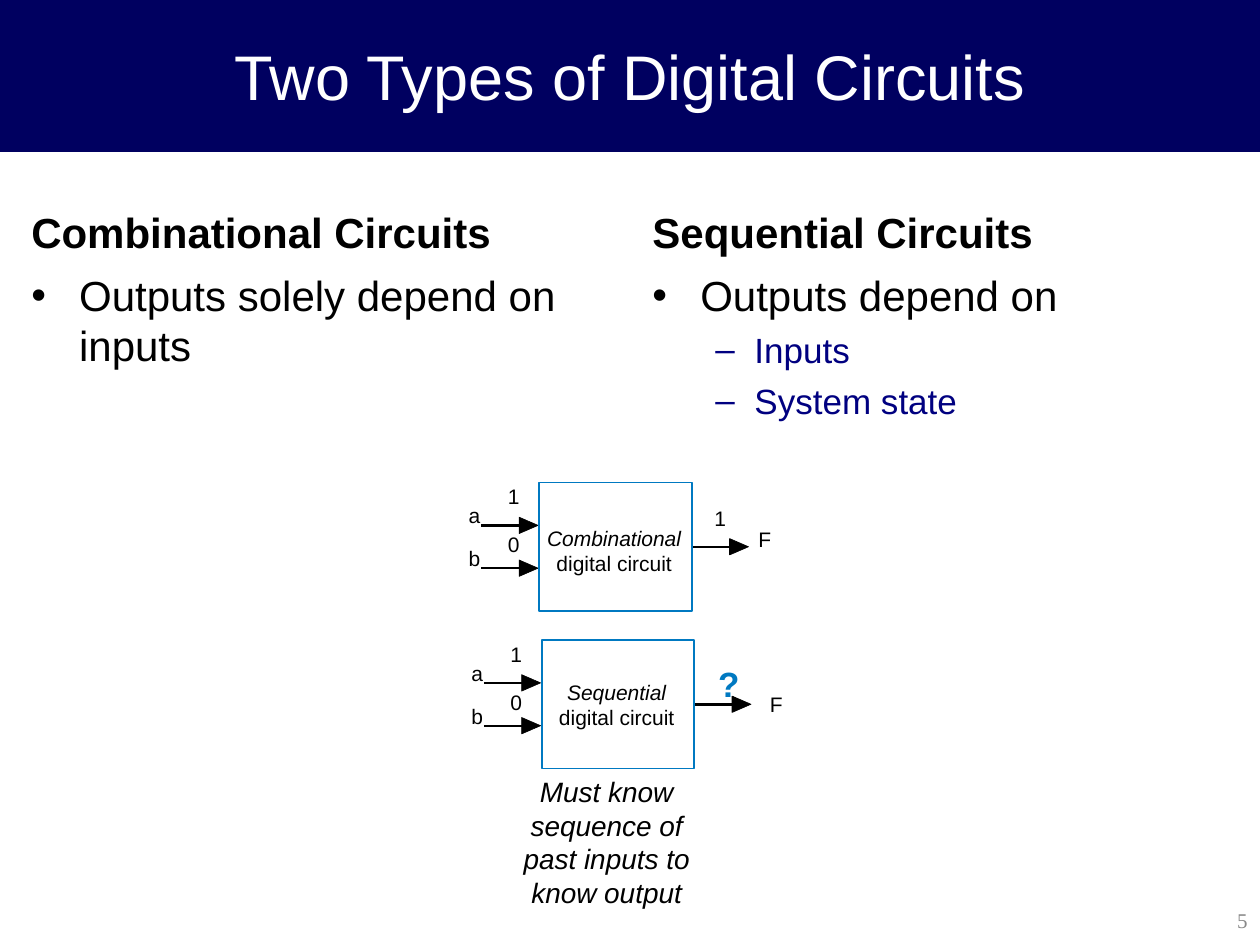
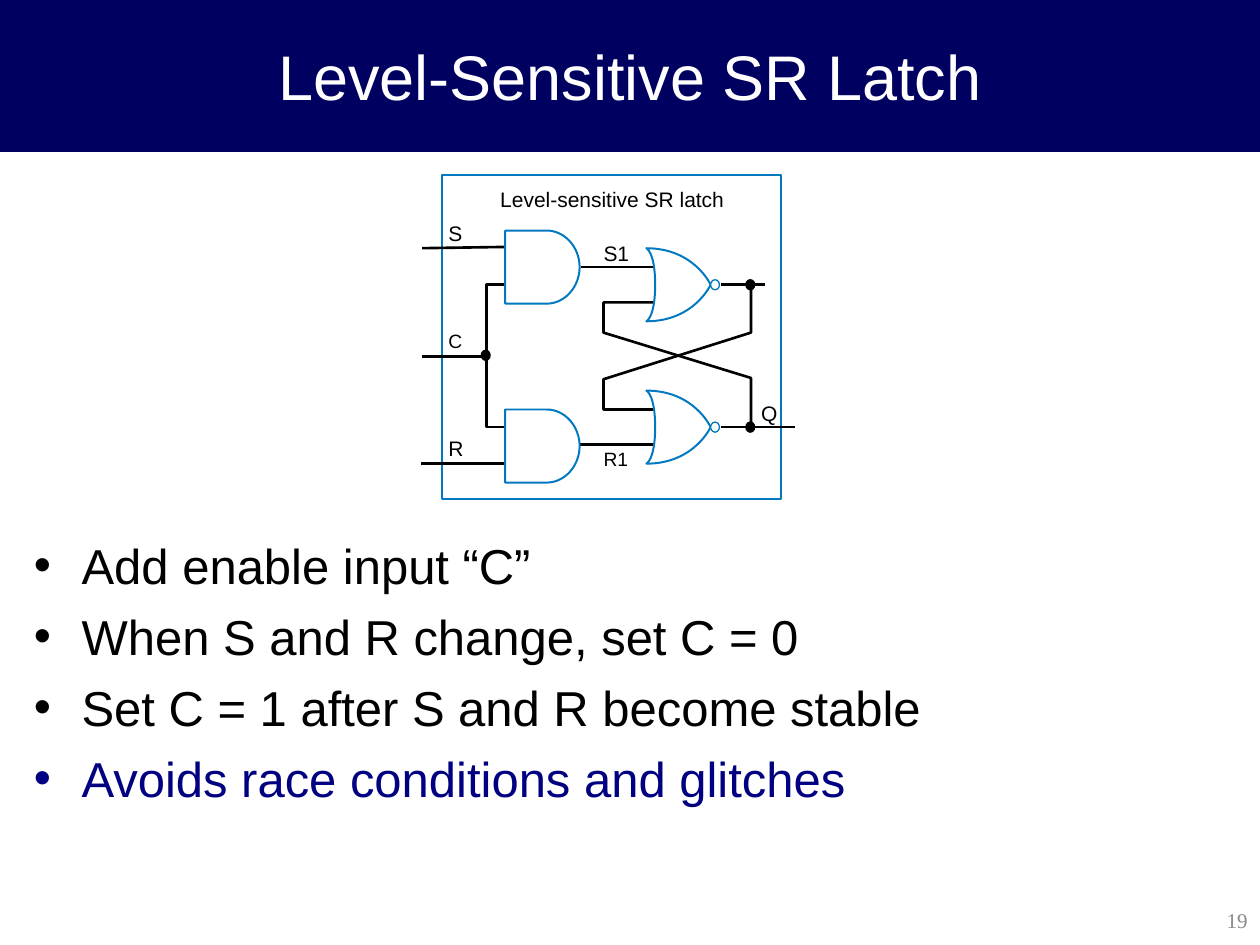
from dataclasses import dataclass

from lxml import etree
from pptx import Presentation
from pptx.dml.color import RGBColor
from pptx.enum.shapes import MSO_CONNECTOR, MSO_SHAPE
from pptx.enum.text import MSO_ANCHOR, MSO_AUTO_SIZE, PP_ALIGN
from pptx.oxml.ns import qn
from pptx.util import Inches, Pt

NAVY = RGBColor(0x00, 0x00, 0x60)
INDIGO = RGBColor(0x00, 0x00, 0x80)
BLUE = RGBColor(0x00, 0x79, 0xC1)
BLACK = RGBColor(0x00, 0x00, 0x00)
WHITE = RGBColor(0xFF, 0xFF, 0xFF)
GRAY = RGBColor(0x89, 0x89, 0x89)

LEFT, CENTER, RIGHT = PP_ALIGN.LEFT, PP_ALIGN.CENTER, PP_ALIGN.RIGHT
TOP, MIDDLE, BOTTOM = MSO_ANCHOR.TOP, MSO_ANCHOR.MIDDLE, MSO_ANCHOR.BOTTOM
RECT, OVAL = MSO_SHAPE.RECTANGLE, MSO_SHAPE.OVAL
STRAIGHT = MSO_CONNECTOR.STRAIGHT
NO_FIT = MSO_AUTO_SIZE.NONE
TITLE_ONLY = 5

Point = tuple[float, float]


@dataclass
class Box:
    left: float
    top: float
    width: float
    height: float

    def place(self) -> list[int]:
        return [Inches(v) for v in (self.left, self.top, self.width, self.height)]


@dataclass
class Line:
    text: str
    size: int = 12
    color: RGBColor = BLACK
    bold: bool = False
    italic: bool = False
    align: PP_ALIGN = LEFT
    face: str = "Arial"
    gap: int = 0
    mark: str = ""
    indent: float = 0.38
    hang: float = 0.38
    level: int = 0


@dataclass
class Label:
    text: str
    left: float
    top: float
    size: int = 12


@dataclass
class Block:
    name: str
    left: float
    top: float
    name_top: float
    result: Line
    result_at: Point
    out_at: Point


@dataclass
class Wire:
    start: Point
    end: Point


BAND = Box(0, 0, 10, 1.2)
FOOT = Box(7.88, 7.1, 2.12, 0.4)
COLUMN_W = 4.77

BLOCKS = [
    Block("Combinational", 4.28, 3.83, 4.17, Line("1"), (5.67, 4.01), (6.02, 4.18)),
    Block("Sequential", 4.3, 5.08, 5.39, Line("?", 20, BLUE, bold=True),
          (5.7, 5.26), (6.11, 5.49)),
]

WIRES = [
    Wire((5.72, 2.26), (6.07, 2.26)),
    Wire((4.39, 3.53), (5.19, 3.53)),
    Wire((5.72, 3.39), (6.31, 3.39)),
    Wire((4.61, 2.12), (5.19, 2.12)),
    Wire((3.34, 3.68), (4.01, 3.68)),
    Wire((3.35, 2.83), (3.86, 2.83)),
    Wire((3.35, 1.97), (4, 1.96)),
]
BENDS = [
    [(5.96, 2.27), (5.96, 2.64), (4.79, 3.01), (4.79, 3.25), (5.19, 3.25)],
    [(5.19, 2.4), (4.79, 2.4), (4.79, 2.64), (5.96, 3), (5.96, 3.38)],
    [(4.01, 3.39), (3.86, 3.39), (3.86, 2.26), (4.01, 2.26)],
]
DOTS = [(5.92, 2.22), (5.92, 3.35), (3.82, 2.78)]
AND_MIDS = [2.12, 3.54]
NOR_MIDS = [2.26, 3.39]
LABELS = [
    Label("R1", 4.79, 3.55, 11),
    Label("S1", 4.79, 1.91),
    Label("S", 3.56, 1.75),
    Label("C", 3.56, 2.61, 11),
    Label("R", 3.56, 3.46),
    Label("Level-sensitive SR latch", 3.97, 1.48),
    Label("Q", 6.04, 3.18),
]


def add_mark(para, line: Line) -> None:
    props = para._p.get_or_add_pPr()
    props.set("marL", str(Inches(line.indent)))
    props.set("indent", str(-Inches(line.hang)))
    tint = etree.SubElement(props, qn("a:buClr"))
    etree.SubElement(tint, qn("a:srgbClr"), val=str(line.color))
    etree.SubElement(props, qn("a:buFont"), typeface=line.face)
    etree.SubElement(props, qn("a:buChar"), char=line.mark)


def fill_text(frame, lines: list[Line], anchor: MSO_ANCHOR) -> None:
    frame.auto_size = NO_FIT
    frame.vertical_anchor = anchor
    for n, line in enumerate(lines):
        para = frame.add_paragraph() if n else frame.paragraphs[0]
        para.text = line.text
        para.alignment = line.align
        para.level = line.level
        para.space_before = Pt(line.gap)
        if line.mark:
            add_mark(para, line)
        font = para.font
        font.name, font.size = line.face, Pt(line.size)
        font.bold, font.italic = line.bold, line.italic
        font.color.rgb = line.color


def add_text(slide, box: Box, lines: list[Line], anchor: MSO_ANCHOR = TOP) -> None:
    frame = slide.shapes.add_textbox(*box.place()).text_frame
    frame.word_wrap = True
    fill_text(frame, lines, anchor)


def add_label(slide, box: Box, lines: list[Line]) -> None:
    frame = slide.shapes.add_textbox(*box.place()).text_frame
    frame.word_wrap = False
    frame.margin_left = frame.margin_right = 0
    frame.margin_top = frame.margin_bottom = 0
    fill_text(frame, lines, TOP)


def paint(shape, fill: RGBColor | None, color: RGBColor, width: float) -> None:
    shape.shadow.inherit = False
    if fill is None:
        shape.fill.background()
    else:
        shape.fill.solid()
        shape.fill.fore_color.rgb = fill
    shape.line.color.rgb = color
    shape.line.width = Pt(width)


def add_shape(slide, kind: MSO_SHAPE, box: Box, fill: RGBColor | None,
              color: RGBColor, width: float):
    shape = slide.shapes.add_shape(kind, *box.place())
    paint(shape, fill, color, width)
    return shape


def add_wire(slide, wire: Wire, width: float = 1.5) -> None:
    ends = [Inches(v) for v in wire.start + wire.end]
    link = slide.shapes.add_connector(STRAIGHT, *ends)
    link.line.color.rgb = BLACK
    link.line.width = Pt(width)
    etree.SubElement(link._element.spPr, qn("a:effectLst"))


def add_path(slide, points: list[Point], fill: RGBColor | None, color: RGBColor,
             width: float, close: bool = True):
    spots = [(Inches(x), Inches(y)) for x, y in points]
    pen = slide.shapes.build_freeform(*spots[0])
    pen.add_line_segments(spots[1:], close=close)
    shape = pen.convert_to_shape()
    paint(shape, fill, color, width)
    return shape


def bend_edges(shape, pulls: dict[int, list[Point]]) -> None:
    edges = list(shape._element.iter(qn("a:lnTo")))
    for n, pair in pulls.items():
        edge = edges[n]
        edge.tag = qn("a:cubicBezTo")
        for spot, (x, y) in enumerate(pair):
            pull = etree.Element(qn("a:pt"), x=str(Inches(x) - shape.left),
                                 y=str(Inches(y) - shape.top))
            edge.insert(spot, pull)


def add_arrow(slide, x: float, y: float) -> None:
    add_wire(slide, Wire((x, y), (x + 0.33, y)), 1.39)
    head = [(x + 0.45, y), (x + 0.3, y - 0.065), (x + 0.3, y + 0.065)]
    add_path(slide, head, BLACK, BLACK, 0.37)


def add_and(slide, mid: float) -> None:
    top, low = mid - 0.29, mid + 0.29
    points = [(4.01, low), (4.34, low), (4.6, mid), (4.34, top), (4.01, top)]
    gate = add_path(slide, points, WHITE, BLUE, 1.13)
    bend_edges(gate, {1: [(4.48, low), (4.6, mid + 0.16)],
                      2: [(4.6, mid - 0.16), (4.48, top)]})


def add_nor(slide, mid: float) -> None:
    top, low = mid - 0.29, mid + 0.29
    tip, back = (5.64, mid), (5.2, mid)
    points = [tip, (5.13, low), back, (5.13, top), tip]
    gate = add_path(slide, points, WHITE, BLUE, 1.13)
    bend_edges(gate, {0: [tip, (5.51, low)],
                      1: [(5.13, low), (5.2, low - 0.03)],
                      2: [(5.2, top + 0.03), (5.13, top)],
                      3: [(5.51, top), tip]})
    add_shape(slide, OVAL, Box(5.64, mid - 0.04, 0.07, 0.08), WHITE, BLUE, 0.75)


def add_block(slide, block: Block) -> None:
    x, y = block.left, block.top
    for name, value, drop in (("a", "1", 0.34), ("b", "0", 0.68)):
        add_arrow(slide, x - 0.46, y + drop)
        add_label(slide, Box(x - 0.56, y + drop - 0.18, 0.09, 0.2), [Line(name)])
        add_label(slide, Box(x - 0.25, y + drop * 1.12 - 0.37, 0.09, 0.2), [Line(value)])
    add_arrow(slide, x + 1.21, y + 0.51)
    add_label(slide, Box(x + 0.06, block.name_top, 1.07, 0.4),
              [Line(block.name, italic=True, align=CENTER),
               Line("digital circuit", align=CENTER)])
    add_shape(slide, RECT, Box(x, y, 1.21, 1.02), None, BLUE, 1)
    add_label(slide, Box(*block.result_at, 0.17, 0.2), [block.result])
    add_label(slide, Box(*block.out_at, 0.1, 0.2), [Line("F")])


def add_slide(deck, title: str, page: int):
    slide = deck.slides.add_slide(deck.slide_layouts[TITLE_ONLY])
    head = slide.shapes.title
    head.left, head.top, head.width, head.height = BAND.place()
    fill_text(head.text_frame, [Line(title, 36, WHITE, align=CENTER)], MIDDLE)
    number = Line(str(page), 12, GRAY, align=RIGHT, face="Times New Roman")
    add_text(slide, FOOT, [number], MIDDLE)
    return slide


def add_band(slide) -> None:
    band = add_shape(slide, RECT, BAND, NAVY, NAVY, 0.75)
    slide.slide_layout.shapes.element.insert(2, band.element)


def add_column(slide, left: float, head: str, lines: list[Line]) -> None:
    add_text(slide, Box(left, 1.2, COLUMN_W, 0.89),
             [Line(head, 24, bold=True, gap=6)], BOTTOM)
    add_text(slide, Box(left, 2.09, COLUMN_W, 5.01), lines)


def bullet(text: str, size: int, gap: int, color: RGBColor = BLACK) -> Line:
    return Line(text, size, color, gap=gap, mark="•")


def dash(text: str) -> Line:
    return Line(text, 20, INDIGO, gap=5, mark="–", indent=0.81, hang=0.31, level=1)


def draw_types(deck) -> None:
    slide = add_slide(deck, "Two Types of Digital Circuits", 5)
    add_band(slide)
    add_column(slide, 0.15, "Combinational Circuits",
               [bullet("Outputs solely depend on inputs", 24, 6)])
    add_column(slide, 5.08, "Sequential Circuits",
               [bullet("Outputs depend on", 24, 6), dash("Inputs"), dash("System state")])
    for block in BLOCKS:
        add_block(slide, block)
    add_text(slide, Box(3.98, 6.1, 1.67, 1.17),
             [Line("Must know sequence of past inputs to know output", 16,
                   italic=True, align=CENTER)])


def draw_latch(deck) -> None:
    slide = add_slide(deck, "Level-Sensitive SR Latch", 19)
    add_text(slide, Box(0.17, 4.2, 9.66, 2.9), [
        bullet("Add enable input “C”", 28, 7),
        bullet("When S and R change, set C = 0", 28, 7),
        bullet("Set C = 1 after S and R become stable", 28, 7),
        bullet("Avoids race conditions and glitches", 28, 7, INDIGO),
    ])
    add_shape(slide, RECT, Box(3.51, 1.39, 2.69, 2.57), None, BLUE, 1.13)
    for wire in WIRES:
        add_wire(slide, wire)
    for bend in BENDS:
        add_path(slide, bend, None, BLACK, 1.5, close=False)
    for x, y in DOTS:
        add_shape(slide, OVAL, Box(x, y, 0.07, 0.08), BLACK, BLACK, 0.75)
    for mid in AND_MIDS:
        add_and(slide, mid)
    for mid in NOR_MIDS:
        add_nor(slide, mid)
    for label in LABELS:
        width = 1.78 if len(label.text) > 2 else 0.2
        add_label(slide, Box(label.left, label.top, width, 0.2),
                  [Line(label.text, label.size)])


def main() -> None:
    deck = Presentation()
    deck.slide_width, deck.slide_height = Inches(10), Inches(7.5)
    draw_types(deck)
    draw_latch(deck)
    deck.save("out.pptx")


if __name__ == "__main__":
    main()
